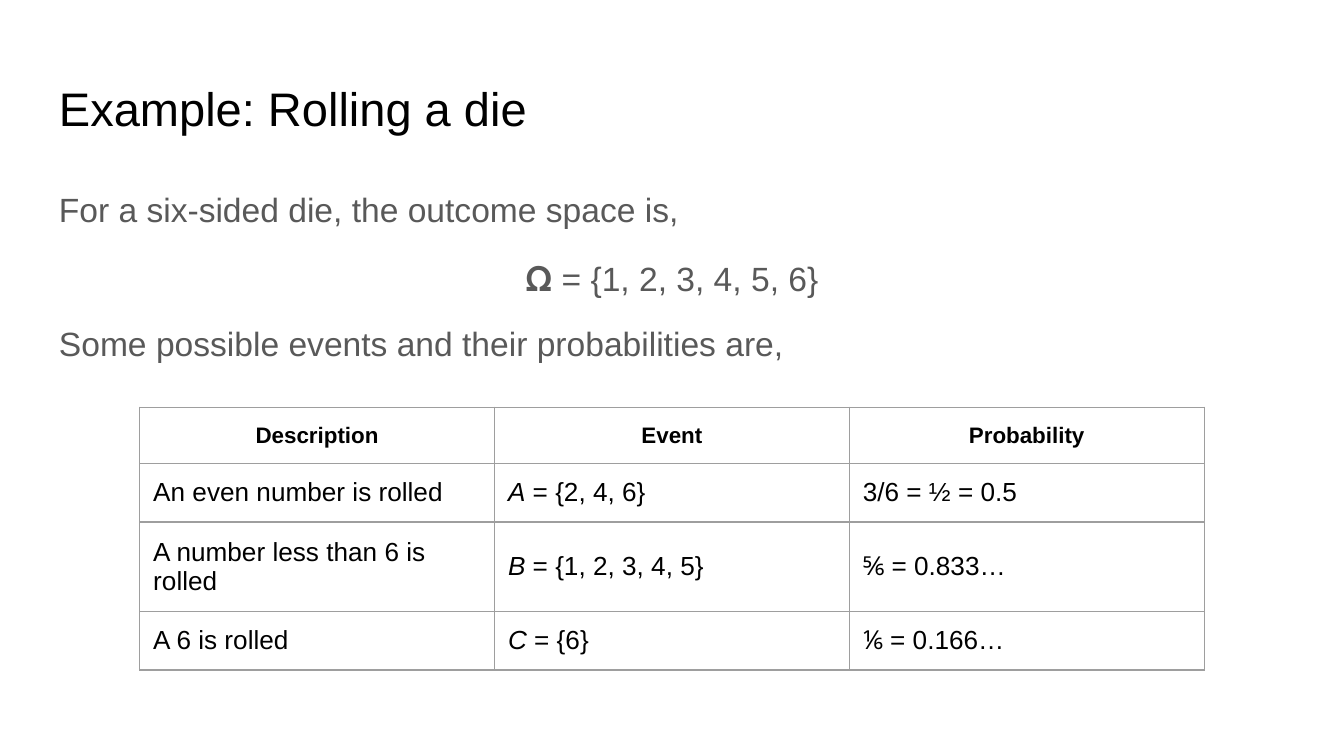
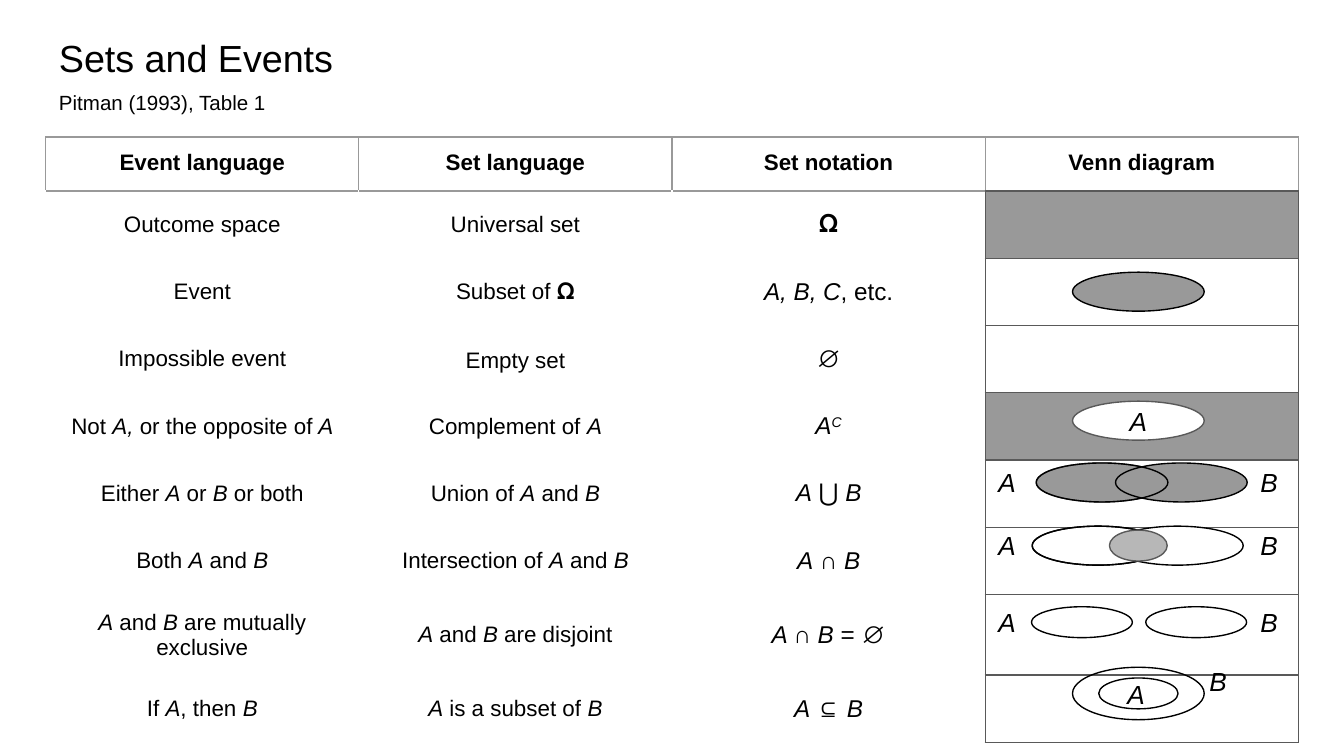
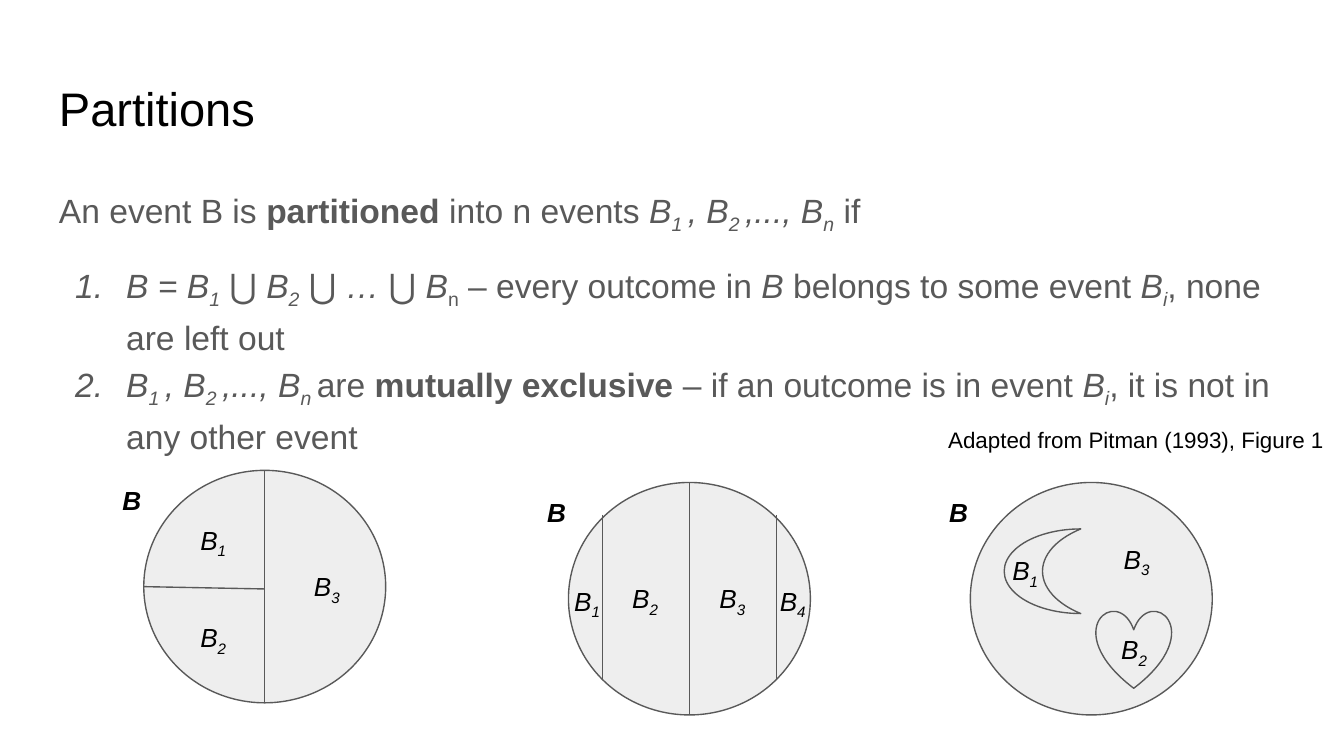
from lxml.etree import SubElement
from pptx import Presentation
from pptx.dml.color import RGBColor
from pptx.enum.shapes import MSO_CONNECTOR, MSO_SHAPE
from pptx.enum.text import MSO_ANCHOR, PP_ALIGN
from pptx.oxml import parse_xml
from pptx.oxml.ns import nsdecls, qn
from pptx.util import Inches, Pt

# Shared look
FONT = "Arial"
BLACK = RGBColor(0x00, 0x00, 0x00)
WHITE = RGBColor(0xFF, 0xFF, 0xFF)
DARK = RGBColor(0x59, 0x59, 0x59)
GREY = RGBColor(0x99, 0x99, 0x99)
RULE = RGBColor(0x9E, 0x9E, 0x9E)
SILVER = RGBColor(0xB7, 0xB7, 0xB7)
PALE = RGBColor(0xEE, 0xEE, 0xEE)
WIDTH = 10
HEIGHT = WIDTH * 9 / 16
LEFT, TEXT_W = 0.34, 9.32
INSET = 0.1
THIN = 0.75
LEFT_AL, CENTER, RIGHT_AL = PP_ALIGN.LEFT, PP_ALIGN.CENTER, PP_ALIGN.RIGHT

# Text marks: * italic, # bold, _ subscript, ^ superscript; each toggles
MARKS = "*#_^"

# Slide 1: die
DIE_BODY = [
    ("For a six-sided die, the outcome space is,", LEFT_AL, 0, False),
    ("𝛀 = {1, 2, 3, 4, 5, 6}", CENTER, 12, False),
    ("Some possible events and their probabilities are,", LEFT_AL, 10, False),
]
DIE_ROWS = [
    ("#Description#", "#Event#", "#Probability#"),
    ("An even number is rolled", "*A* = {2, 4, 6}", "3/6 = ½ = 0.5"),
    ("A number less than 6 is rolled", "*B* = {1, 2, 3, 4, 5}", "⅚ = 0.833…"),
    ("A 6 is rolled", "*C* = {6}", "⅙ = 0.166…"),
]

# Slide 2: set language; the last column holds the diagrams
SET_ROWS = [
    ("#Event language#", "#Set language#", "#Set notation#", "#Venn diagram#"),
    ("Outcome space", "Universal set", "𝛀", ""),
    ("Event", "Subset of 𝛀", "*A, B, C*, etc.", ""),
    ("Impossible event", "Empty set", "∅", ""),
    ("Not *A,* or the opposite of* A*", "Complement of *A*", "*A^C^*", ""),
    ("Either *A* or *B* or both", "Union of *A* and *B*", "*A* ⋃ *B*", ""),
    ("Both *A* and *B*", "Intersection of *A* and *B*", "*A* ∩ *B*", ""),
    ("*A* and *B* are mutually exclusive", "*A* and *B* are disjoint",
     "*A *∩ *B* = ∅", ""),
    ("If *A*, then *B*", "*A* is a subset of *B*", "*A *⊆* B*", ""),
]
SHADED_ROWS = (1, 4)
NOTATION, VENN = 2, 3
VENN_X = 8.47
OVAL, SMALL, LENS = (0.98, 0.29), (0.75, 0.23), (0.43, 0.23)
OUTER, INNER = (0.98, 0.39), (0.59, 0.23)
# Row centre, ovals (shift from column centre, size, fill, line, text),
# labels (text, shift across, shift down)
SIDE_LABELS = [("*A*", -0.95, 0), ("*B*", 1, 0)]
VENNS = [
    (2.17, [(0, OVAL, GREY, BLACK, "")], []),
    (3.13, [(0, OVAL, WHITE, DARK, "*A*")], []),
    (3.59, [(-0.27, OVAL, GREY, DARK, ""), (0.32, OVAL, GREY, BLACK, ""),
            (-0.27, OVAL, None, BLACK, "")], SIDE_LABELS),
    (4.06, [(-0.3, OVAL, WHITE, BLACK, ""), (0.29, OVAL, WHITE, BLACK, ""),
            (-0.3, OVAL, None, BLACK, ""), (0, LENS, SILVER, DARK, "")],
     SIDE_LABELS),
    (4.63, [(-0.42, SMALL, None, BLACK, ""), (0.43, SMALL, None, BLACK, "")],
     SIDE_LABELS),
    (5.16, [(0, OUTER, None, BLACK, ""), (0, INNER, None, BLACK, "")],
     [("*B*", 0.62, -0.09), ("*A*", 0.01, 0.01)]),
]

# Slide 3: partitions
PARTITION_BODY = [
    ("An event B is #partitioned# into n events *B_1 _, B_2 _,..., B_n_* if",
     LEFT_AL, 0, False),
    ("*B = B_1_ ⋃ B_2_ ⋃ … ⋃ B*_n_ – every outcome in *B* belongs to some "
     "event *B_i_*, none are left out", LEFT_AL, 12, True),
    ("*B_1 _, B_2 _,..., B_n _*are #mutually exclusive# – if an outcome is in "
     "event *B_i_*, it is not in any other event", LEFT_AL, 0, True),
]
DISC_W, DISC_H = 1.8, 1.73
# Places inside a disc are shares of its width and height
DISCS = [
    {"at": (1.07, 3.5), "cuts": [(0.5, 0, 0.5, 1), (0, 0.5, 0.5, 0.51)],
     "parts": [], "labels": [(0.29, 0.3), (0.29, 0.72), (0.76, 0.5)]},
    {"at": (4.23, 3.59),
     "cuts": [(0.5, 0, 0.5, 1)] + [(x, 0.14, x, 0.85) for x in (0.14, 0.86)],
     "parts": [],
     "labels": [(0.08, 0.51), (0.32, 0.5), (0.68, 0.5), (0.93, 0.51)]},
    {"at": (7.22, 3.59), "cuts": [],
     "parts": [(MSO_SHAPE.MOON, 0.14, 0.2, 0.57, 0.63),
               (MSO_SHAPE.HEART, 0.52, 0.55, 0.56, 0.58)],
     "labels": [(0.23, 0.38), (0.68, 0.72), (0.69, 0.33)]},
]


def write(p, text, size, color=BLACK):
    """Fill a paragraph with marked text, one run per change of style."""
    on, piece = set(), ""

    def flush():
        if not piece:
            return
        r = p.add_run()
        r.text = piece
        r.font.name, r.font.size = FONT, Pt(size)
        r.font.color.rgb = color
        r.font.italic, r.font.bold = "*" in on, "#" in on
        for mark, shift in (("_", "-25000"), ("^", "30000")):
            if mark in on:
                r.font._element.set("baseline", shift)

    for ch in text:
        if ch in MARKS:
            flush()
            piece = ""
            on ^= {ch}
        else:
            piece += ch
    flush()


def set_frame(tf):
    tf.word_wrap = True
    tf.margin_left = tf.margin_right = Inches(INSET)
    tf.margin_top = tf.margin_bottom = Inches(INSET)


def add_text(s, text, x, y, w, h, size, align=LEFT_AL):
    tf = s.shapes.add_textbox(*map(Inches, (x, y, w, h))).text_frame
    set_frame(tf)
    tf.paragraphs[0].alignment = align
    write(tf.paragraphs[0], text, size)


def add_label(s, text, cx, cy, w=0.4, h=0.44):
    add_text(s, text, cx - w / 2, cy - h / 2, w, h, 14)


def add_title(s, text, y=0.49, size=25.2):
    add_text(s, text, LEFT, y, TEXT_W, 0.63, size)


def add_body(s, lines, h):
    tf = s.shapes.add_textbox(*map(Inches, (LEFT, 1.26, TEXT_W, h))).text_frame
    set_frame(tf)
    for i, (text, align, before, numbered) in enumerate(lines):
        p = tf.add_paragraph() if i else tf.paragraphs[0]
        p.alignment, p.line_spacing = align, 1.15
        if before:
            p.space_before = Pt(before)
        if numbered:
            pPr = p._p.get_or_add_pPr()
            pPr.set("marL", str(Inches(0.5)))
            pPr.set("indent", str(-Inches(0.38)))
            clr = SubElement(pPr, qn("a:buClr"))
            SubElement(clr, qn("a:srgbClr")).set("val", str(DARK))
            SubElement(pPr, qn("a:buAutoNum")).set("type", "arabicPeriod")
        write(p, text, 18, DARK)


def add_shape(s, kind, x, y, w, h, fill, line, text=""):
    sp = s.shapes.add_shape(kind, *map(Inches, (x, y, w, h)))
    sp.shadow.inherit = False
    if fill is None:
        sp.fill.background()
    else:
        sp.fill.solid()
        sp.fill.fore_color.rgb = fill
    sp.line.color.rgb, sp.line.width = line, Pt(THIN)
    if text:
        set_frame(sp.text_frame)
        sp.text_frame.vertical_anchor = MSO_ANCHOR.MIDDLE
        sp.text_frame.paragraphs[0].alignment = CENTER
        write(sp.text_frame.paragraphs[0], text, 14)


def add_line(s, *ends):
    line = s.shapes.add_connector(MSO_CONNECTOR.STRAIGHT, *map(Inches, ends))
    line.line.color.rgb, line.line.width = DARK, Pt(THIN)
    SubElement(line._element.spPr, qn("a:effectLst"))


def add_table(s, rows, x, y, col_w, heights, style, edge, fill):
    """style gives (size, align, anchor) of a cell, edge its border colour."""
    n, m = len(rows), len(rows[0])
    frame = s.shapes.add_table(n, m, *map(Inches, (x, y, col_w * m, sum(heights))))
    table = frame.table
    table.first_row = table.horz_banding = False
    for col in table.columns:
        col.width = Inches(col_w)
    for r, texts in enumerate(rows):
        table.rows[r].height = Inches(heights[r])
        for c, text in enumerate(texts):
            cell = table.cell(r, c)
            cell.margin_left = cell.margin_right = Inches(INSET)
            cell.margin_top = cell.margin_bottom = Inches(INSET)
            size, align, cell.vertical_anchor = style(r, c)
            p = cell.text_frame.paragraphs[0]
            p.alignment = align
            write(p, text, size)
            if fill(r, c) is None:
                cell.fill.background()
            else:
                cell.fill.solid()
                cell.fill.fore_color.rgb = fill(r, c)
            # Two neighbours share the darker border colour
            sides = [("L", r, c - 1), ("R", r, c + 1), ("T", r - 1, c), ("B", r + 1, c)]
            for i, (side, r2, c2) in enumerate(sides):
                inside = 0 <= r2 < n and 0 <= c2 < m
                color = min(edge(r, c), edge(r2, c2)) if inside else edge(r, c)
                cell._tc.get_or_add_tcPr().insert(i, parse_xml(
                    f'<a:ln{side} {nsdecls("a")} w="{Pt(THIN)}"><a:solidFill>'
                    f'<a:srgbClr val="{color}"/></a:solidFill></a:ln{side}>'))
    return table


def die_slide(s):
    add_title(s, "Example: Rolling a die")
    add_body(s, DIE_BODY, 3.74)
    add_table(s, DIE_ROWS, 1.04, 3.03, 2.64, [0.42] * len(DIE_ROWS),
              lambda r, c: (14 if r else 12, LEFT_AL if r else CENTER, MSO_ANCHOR.MIDDLE),
              lambda r, c: RULE, lambda r, c: None)


def sets_slide(s):
    add_title(s, "Sets and Events", 0.16, 20.2)
    add_text(s, "Pitman (1993), Table 1", LEFT, 0.58, 2.21, 0.39, 11)

    def style(r, c):
        size = 13 if r and c == NOTATION else 12
        return size, CENTER, MSO_ANCHOR.MIDDLE if r else MSO_ANCHOR.TOP

    def edge(r, c):
        if r == 0:
            return GREY
        return DARK if c == VENN else WHITE

    def fill(r, c):
        return GREY if c == VENN and r in SHADED_ROWS else None

    table = add_table(s, SET_ROWS, LEFT, 1.02, 2.33,
                      [0.38] + [0.48] * (len(SET_ROWS) - 1), style, edge, fill)
    empty_set = table.cell(3, 1).text_frame.paragraphs[0]
    empty_set.line_spacing, empty_set.space_after = 1.15, Pt(10)

    # Venn diagrams over the last column
    for cy, ovals, labels in VENNS:
        for dx, (w, h), color, line, text in ovals:
            add_shape(s, MSO_SHAPE.OVAL, VENN_X + dx - w / 2, cy - h / 2, w, h,
                      color, line, text)
        for text, dx, dy in labels:
            add_label(s, text, VENN_X + dx, cy + dy, 0.38)


def partitions_slide(s):
    add_title(s, "Partitions")
    add_body(s, PARTITION_BODY, 2.09)
    for disc in DISCS:
        left, top = disc["at"]

        def place(fx, fy):
            return left + fx * DISC_W, top + fy * DISC_H

        add_shape(s, MSO_SHAPE.OVAL, left, top, DISC_W, DISC_H, PALE, DARK)
        for x1, y1, x2, y2 in disc["cuts"]:
            add_line(s, *place(x1, y1), *place(x2, y2))
        for kind, fx, fy, w, h in disc["parts"]:
            add_shape(s, kind, *place(fx, fy), w, h, PALE, DARK)
        add_label(s, "#*B*#", *place(-0.04, 0.13), 0.37)
        for i, spot in enumerate(disc["labels"], 1):
            add_label(s, f"*B_{i}_*", *place(*spot))
    add_text(s, "Adapted from Pitman (1993), Figure 1", 6.3, 3.07, 3.65, 0.4,
             12, RIGHT_AL)


def main():
    prs = Presentation()
    prs.slide_width, prs.slide_height = Inches(WIDTH), Inches(HEIGHT)
    for build in (die_slide, sets_slide, partitions_slide):
        build(prs.slides.add_slide(prs.slide_layouts[6]))
    prs.save("out.pptx")


if __name__ == "__main__":
    main()
